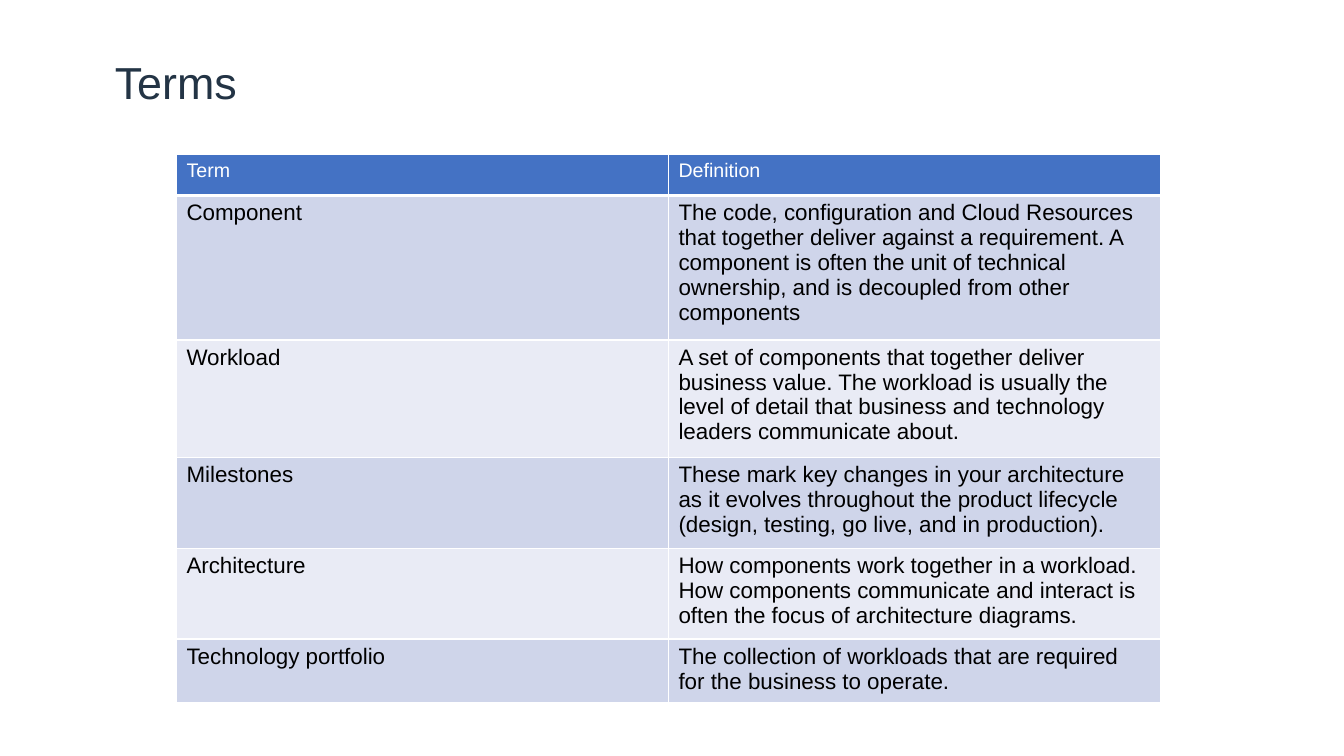
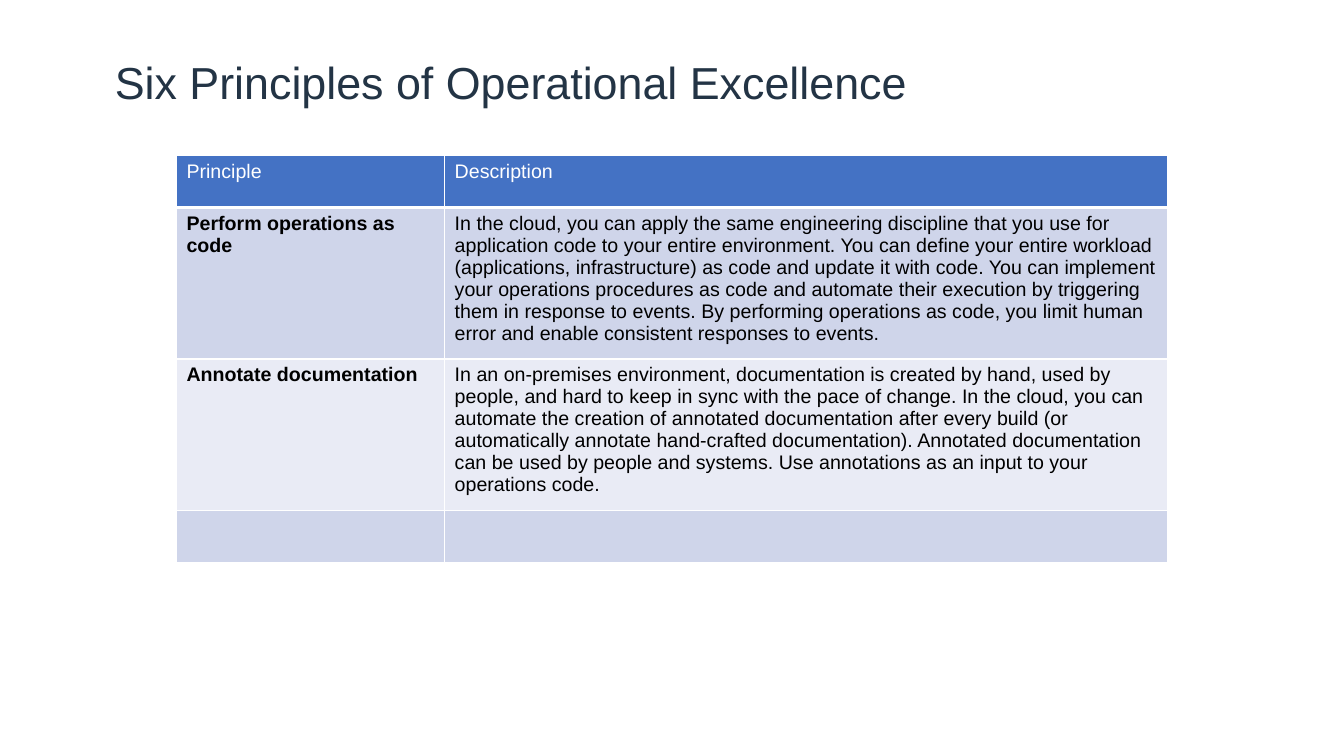
from lxml import etree
from pptx import Presentation
from pptx.dml.color import RGBColor
from pptx.enum.text import MSO_ANCHOR
from pptx.oxml.ns import qn
from pptx.util import Inches, Pt

FONT = "Arial"
NAVY = RGBColor(0x23, 0x34, 0x45)
BLUE = RGBColor(0x44, 0x72, 0xC4)
BANDS = RGBColor(0xCF, 0xD5, 0xEA), RGBColor(0xE9, 0xEB, 0xF5)
WHITE = RGBColor(0xFF, 0xFF, 0xFF)
BLACK = RGBColor(0x00, 0x00, 0x00)

TERMS = [
    ("Term", "Definition"),
    ("Component",
     "The code, configuration and Cloud Resources that together deliver "
     "against a requirement. A component is often the unit of technical "
     "ownership, and is decoupled from other components"),
    ("Workload",
     "A set of components that together deliver business value. The workload "
     "is usually the level of detail that business and technology leaders "
     "communicate about."),
    ("Milestones",
     "These mark key changes in your architecture as it evolves throughout "
     "the product lifecycle (design, testing, go live, and in production)."),
    ("Architecture",
     "How components work together in a workload. How components communicate "
     "and interact is often the focus of architecture diagrams."),
    ("Technology portfolio",
     "The collection of workloads that are required for the business to "
     "operate."),
]
RULES = [
    ("Principle", "Description"),
    ("Perform operations as code",
     "In the cloud, you can apply the same engineering discipline that you "
     "use for application code to your entire environment. You can define "
     "your entire workload (applications, infrastructure) as code and update "
     "it with code. You can implement your operations procedures as code and "
     "automate their execution by triggering them in response to events. By "
     "performing operations as code, you limit human error and enable "
     "consistent responses to events."),
    ("Annotate documentation",
     "In an on-premises environment, documentation is created by hand, used "
     "by people, and hard to keep in sync with the pace of change. In the "
     "cloud, you can automate the creation of annotated documentation after "
     "every build (or automatically annotate hand-crafted documentation). "
     "Annotated documentation can be used by people and systems. Use "
     "annotations as an input to your operations code."),
    ("", ""),
]


def add_run(para, text, size, color, bold=False):
    run = para.add_run()
    run.text = text
    font = run.font
    font.name, font.size, font.bold = FONT, Pt(size), bold
    font.color.rgb = color


def add_title(slide, text):
    box = slide.shapes.add_textbox(
        Inches(1.04), Inches(0.35), Inches(12.28), Inches(0.99))
    frame = box.text_frame
    frame.word_wrap = True
    frame.vertical_anchor = MSO_ANCHOR.MIDDLE
    para = frame.paragraphs[0]
    para.line_spacing = 0.9
    add_run(para, text, 32, NAVY)


def add_edges(cell, base):
    """Draw white cell borders, with the bottom one base points wide."""
    props = cell._tc.get_or_add_tcPr()
    for side, width in (("L", 1), ("R", 1), ("T", 1), ("B", base)):
        line = etree.SubElement(props, qn(f"a:ln{side}"), w=str(Pt(width)))
        fill = etree.SubElement(line, qn("a:solidFill"))
        etree.SubElement(fill, qn("a:srgbClr"), val=str(WHITE))


def add_grid(slide, rows, top, widths, height, size, bold):
    """Add a banded table; bold applies to the first column of the body."""
    table = slide.shapes.add_table(
        len(rows), len(widths), Inches(1.75), Inches(top),
        Inches(sum(widths)), Inches(height * len(rows))).table
    for col, width in zip(table.columns, widths):
        col.width = Inches(width)
    for i, row in enumerate(rows):
        table.rows[i].height = Inches(height)
        head = i == 0
        for j, text in enumerate(row):
            cell = table.cell(i, j)
            add_edges(cell, 3 if head else 1)
            cell.fill.solid()
            cell.fill.fore_color.rgb = BLUE if head else BANDS[(i - 1) % 2]
            if text:
                add_run(cell.text_frame.paragraphs[0], text,
                        14 if head else size, WHITE if head else BLACK,
                        bold and not head and j == 0)


def main():
    deck = Presentation()
    deck.slide_width, deck.slide_height = Inches(13.33), Inches(7.5)
    blank = deck.slide_layouts[6]
    pages = [
        ("Terms", TERMS, 1.53, (4.88, 4.88), 0.41, 16, False),
        ("Six Principles of Operational Excellence",
         RULES, 1.54, (2.66, 7.17), 0.52, 14, True),
    ]
    for title, *grid in pages:
        slide = deck.slides.add_slide(blank)
        add_title(slide, title)
        add_grid(slide, *grid)
    deck.save("out.pptx")


if __name__ == "__main__":
    main()
